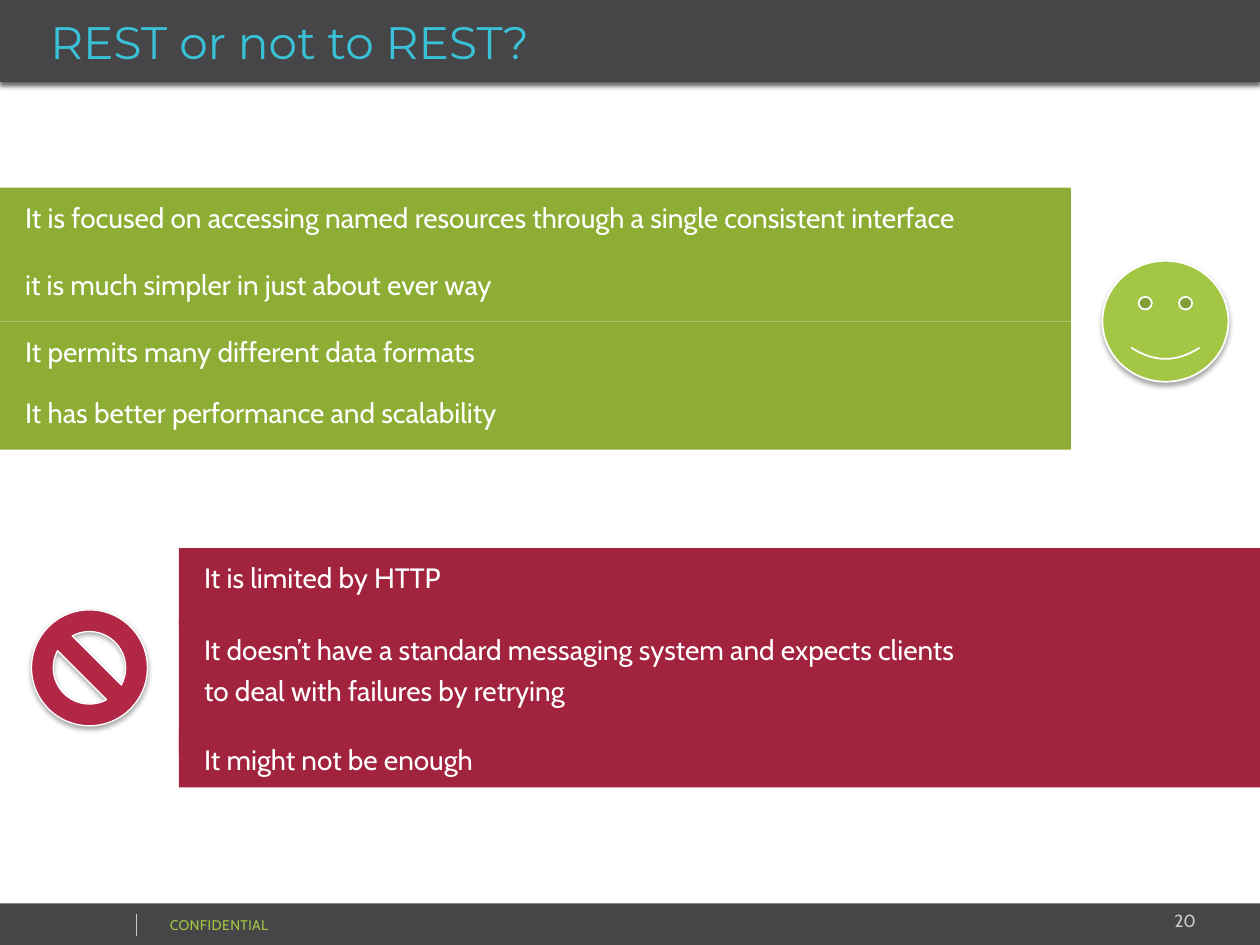
from lxml.etree import SubElement
from pptx import Presentation
from pptx.dml.color import RGBColor
from pptx.enum.shapes import MSO_CONNECTOR, MSO_SHAPE
from pptx.enum.text import MSO_ANCHOR, PP_ALIGN
from pptx.oxml.ns import qn
from pptx.util import Inches, Pt

WIDTH, HEIGHT = 10, 7.5
DARK, GREY, WHITE = "464547", "CCCCCC", "FFFFFF"
GREEN, LIME, RED, CRIMSON = "8EAD35", "A3C644", "A1233E", "B22746"
CYAN, FOOTER_GREEN = "39C2D7", "A3C745"
FOOTER_TOP = 7.17

PROS_WIDTH = 0.85 * WIDTH
PROS = [
    (1.49, 0.94, ["It is focused on accessing named resources through a single consistent interface"]),
    (2.02, 0.53, ["it is much simpler in just about ever way"]),
    (2.55, 0.53, ["It permits many different data formats"]),
    (3.04, 0.53, ["It has better performance and scalability"]),
]
CONS_LEFT = 1.42
CONS = [
    (4.92, 1.07, ["It doesn’t have a standard messaging system and expects clients",
                  "to deal with failures by retrying"]),
    (4.35, 0.61, ["It is limited by HTTP"]),
    (5.79, 0.46, ["It might not be enough"]),
]


def color(hex_string):
    return RGBColor.from_string(hex_string)


def add_filled_shape(shapes, kind, box, fill, line=None, line_width=0):
    shape = shapes.add_shape(kind, *map(Inches, box))
    shape.shadow.inherit = False
    shape.fill.solid()
    shape.fill.fore_color.rgb = color(fill)
    if line:
        shape.line.color.rgb = color(line)
        shape.line.width = Pt(line_width)
    else:
        shape.line.fill.background()
    return shape


def add_drop_shadow(shape, hex_string, opacity, blur, distance):
    """Cast a shadow straight down; blur and distance in points, opacity in percent."""
    effects = shape._element.spPr.find(qn("a:effectLst"))
    shadow = SubElement(effects, qn("a:outerShdw"), blurRad=str(Pt(blur)),
                        dist=str(Pt(distance)), dir="5400000", rotWithShape="0")
    tone = SubElement(shadow, qn("a:srgbClr"), val=hex_string)
    SubElement(tone, qn("a:alpha"), val=str(opacity * 1000))


def write_text(shape, lines, size, hex_string, font="Cabin", left_inset=0.1,
               anchor=MSO_ANCHOR.TOP, align=PP_ALIGN.LEFT, line_spacing=None):
    frame = shape.text_frame
    frame.word_wrap = True
    frame.margin_left = Inches(left_inset)
    frame.vertical_anchor = anchor
    for index, line in enumerate(lines):
        paragraph = frame.add_paragraph() if index else frame.paragraphs[0]
        paragraph.alignment = align
        paragraph.line_spacing = line_spacing
        run = paragraph.add_run()
        run.text = line
        run.font.size = Pt(size)
        run.font.name = font
        run.font.color.rgb = color(hex_string)


def add_argument_bars(slide, left, width, fill, arguments):
    group = slide.shapes.add_group_shape()
    for top, height, lines in arguments:
        bar = add_filled_shape(group.shapes, MSO_SHAPE.RECTANGLE, (left, top, width, height), fill)
        write_text(bar, lines, 16, WHITE, left_inset=0.2, line_spacing=1.2)


def add_symbol(slide, kind, box, fill, line_width):
    symbol = add_filled_shape(slide.shapes, kind, box, fill, WHITE, line_width)
    add_drop_shadow(symbol, "000000", 35, 3.1, 1.8)


def add_title(slide, title):
    band = add_filled_shape(slide.shapes, MSO_SHAPE.RECTANGLE, (0, 0, WIDTH, 0.65), DARK)
    add_drop_shadow(band, "232324", 70, 3, 2)
    write_text(band, [title], 26, CYAN, "Montserrat", 0.4, MSO_ANCHOR.MIDDLE)


def add_footer(slide, label, page):
    shapes = slide.shapes
    add_filled_shape(shapes, MSO_SHAPE.RECTANGLE,
                     (0, FOOTER_TOP, WIDTH, HEIGHT - FOOTER_TOP), DARK)
    number_box = shapes.add_textbox(*map(Inches, (7.96, FOOTER_TOP, 1.63, 0.27)))
    write_text(number_box, [page], 10, GREY, align=PP_ALIGN.RIGHT)
    label_box = shapes.add_textbox(*map(Inches, (1.25, 7.22, 2.53, 0.24)))
    write_text(label_box, [label], 8, FOOTER_GREEN, anchor=MSO_ANCHOR.MIDDLE)
    label_run = label_box.text_frame.paragraphs[0].runs[0]
    label_run.font._element.set("spc", "20")
    divider = shapes.add_connector(MSO_CONNECTOR.STRAIGHT, *map(Inches, (1.08, 7.25, 1.08, 7.43)))
    divider.line.color.rgb = color(GREY)
    divider.line.width = Pt(0.25)
    SubElement(divider._element.spPr, qn("a:effectLst"))


def main():
    presentation = Presentation()
    presentation.slide_width, presentation.slide_height = Inches(WIDTH), Inches(HEIGHT)
    slide = presentation.slides.add_slide(presentation.slide_layouts[6])
    add_footer(slide, "CONFIDENTIAL", "20")
    add_title(slide, "REST or not to REST?")
    add_argument_bars(slide, 0, PROS_WIDTH, GREEN, PROS)
    add_argument_bars(slide, CONS_LEFT, WIDTH - CONS_LEFT, RED, CONS)
    add_symbol(slide, MSO_SHAPE.NO_SYMBOL, (0.25, 4.84, 0.92, 0.92), CRIMSON, 0.75)
    add_symbol(slide, MSO_SHAPE.SMILEY_FACE, (8.75, 2.07, 1, 0.96), LIME, 1)
    presentation.save("out.pptx")


if __name__ == "__main__":
    main()
